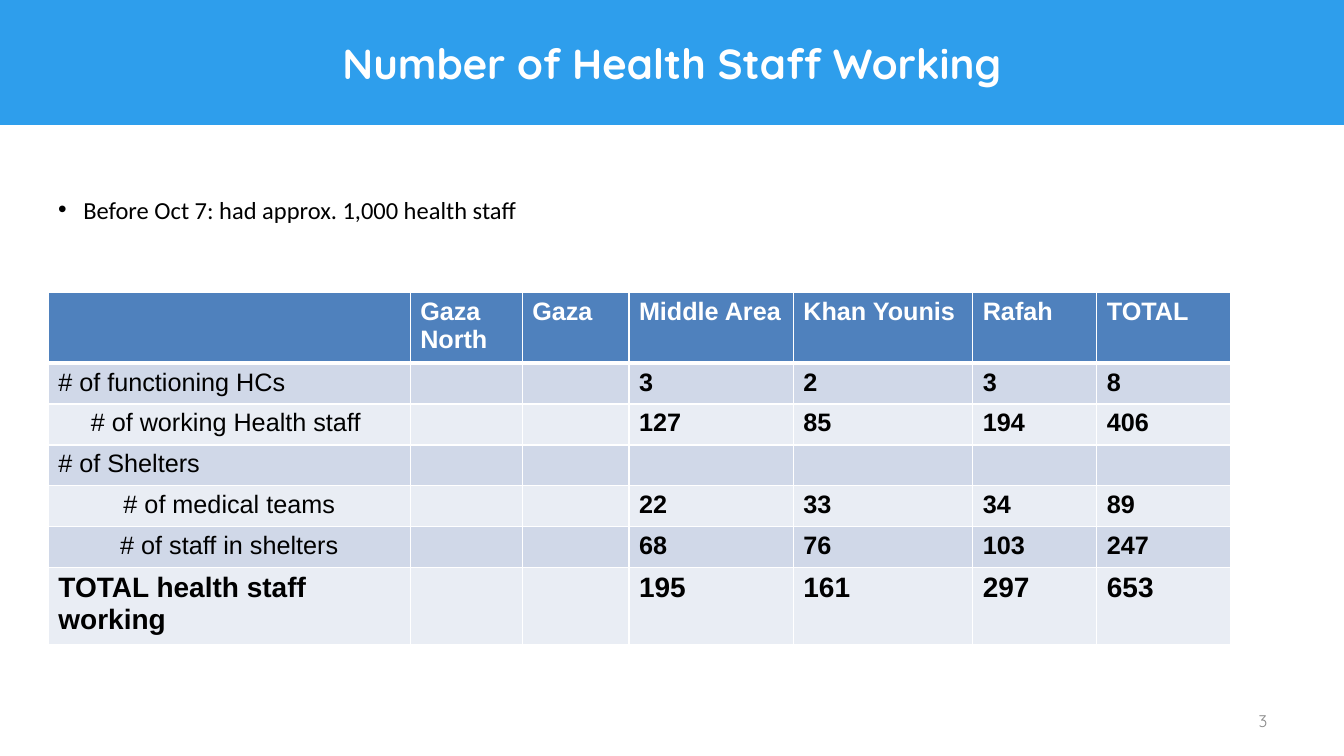
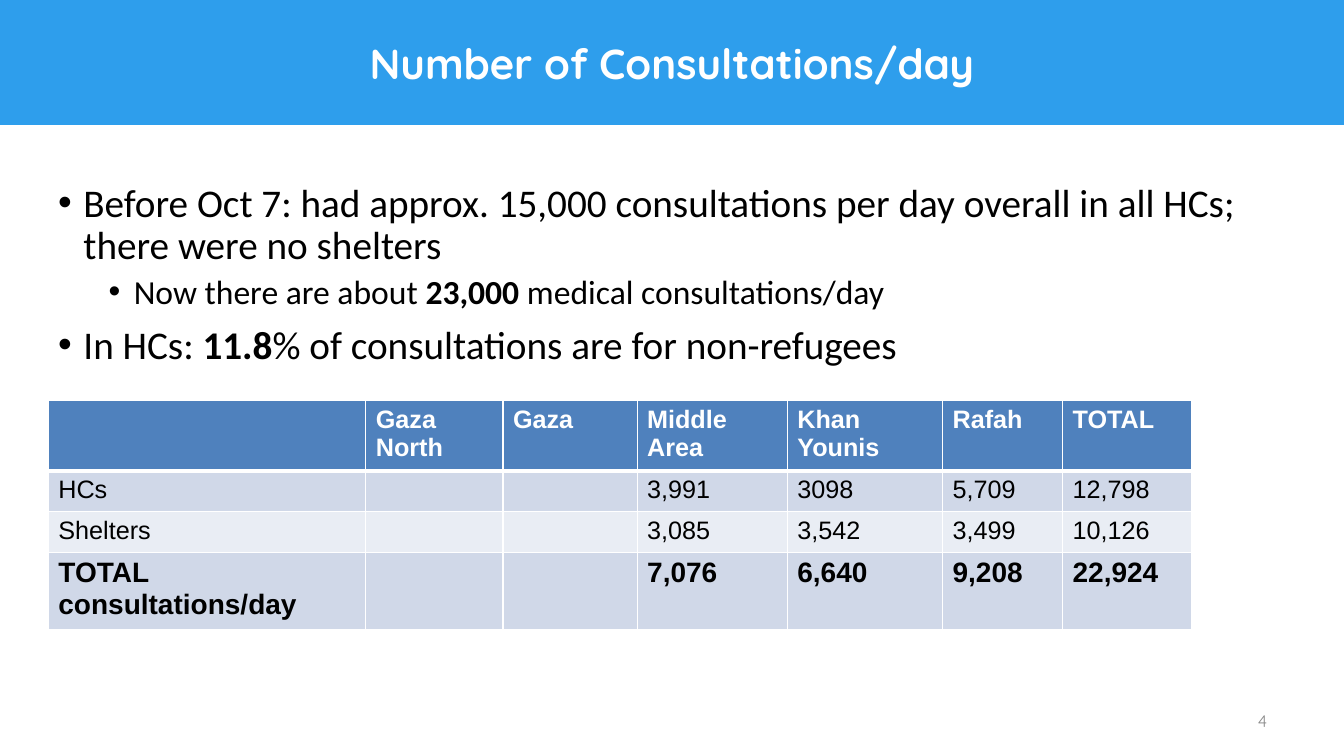
from pptx import Presentation
from pptx.dml.color import RGBColor
from pptx.enum import shapes, text
from pptx.oxml import parse_xml
from pptx.oxml.ns import nsdecls
from pptx.util import Pt

BLUE, HEADER, BAND_DARK, BAND_LIGHT = "2E9EEC", "4F81BD", "D0D8E8", "E9EDF4"
WHITE, BLACK, GREY = "FFFFFF", "000000", "898989"
WIDTH, HEIGHT, MARGIN = 960, 540, 34.5
REGIONS = ["Gaza North", "Gaza", "Middle Area", "Khan Younis", "Rafah", "TOTAL"]


def color(hex_code):
    return RGBColor.from_string(hex_code)


def style(font, size, name, hex_code, bold=False):
    font.size, font.name, font.bold = Pt(size), name, bold
    font.color.rgb = color(hex_code)


def add_title(slide, title, box):
    band = slide.shapes.add_shape(shapes.MSO_SHAPE.RECTANGLE, *map(Pt, box))
    band.shadow.inherit = False
    band.fill.solid()
    band.fill.fore_color.rgb = color(BLUE)
    band.line.fill.background()
    band.text_frame.vertical_anchor = text.MSO_ANCHOR.MIDDLE
    line = band.text_frame.paragraphs[0]
    line.text, line.alignment = title, text.PP_ALIGN.CENTER
    style(line.font, 30, "Quicksand", WHITE, True)


def add_text_frame(slide, box):
    frame = slide.shapes.add_textbox(*map(Pt, box)).text_frame
    frame.word_wrap = True
    return frame


def add_page_number(slide, number, box):
    frame = add_text_frame(slide, box)
    frame.vertical_anchor = text.MSO_ANCHOR.MIDDLE
    line = frame.paragraphs[0]
    line.text, line.alignment = str(number), text.PP_ALIGN.RIGHT
    style(line.font, 12, "Quicksand", GREY)


def add_bullets(slide, bullets, box, spacing=0.9):
    """Bullets are (level, size, parts); every second part is bold."""
    frame = add_text_frame(slide, box)
    for index, (level, size, parts) in enumerate(bullets):
        line = frame.add_paragraph() if index else frame.paragraphs[0]
        line.level, line.line_spacing = level, spacing
        line.space_before = Pt(5 if level else 10)
        style(line.font, size, "Calibri", BLACK)
        for part_index, part in enumerate(parts):
            run = line.add_run()
            run.text = part
            if part_index % 2:
                run.font.bold = True
        props = line._p.get_or_add_pPr()
        props.set("marL", str(Pt(18 + 36 * level)))
        props.set("indent", str(Pt(-18)))
        for xml in ('<a:buFont {} typeface="Arial"/>', '<a:buChar {} char="•"/>'):
            props.insert_element_before(parse_xml(xml.format(nsdecls("a"))),
                                        "a:tabLst", "a:defRPr", "a:extLst")


def set_borders(cell, top, bottom):
    props = cell._tc.get_or_add_tcPr()
    for side, width in zip("LRTB", (1, 1, top, bottom)):
        props.append(parse_xml(
            f'<a:ln{side} {nsdecls("a")} w="{Pt(width)}"><a:solidFill>'
            f'<a:srgbClr val="{WHITE}"/></a:solidFill></a:ln{side}>'))


def add_region_table(slide, rows, left, top, widths, centered=(), bold_values=False):
    """The last row is the total; centered holds the rows with a centred label."""
    row_height = 29.2
    grid = [["", *REGIONS]] + [[label, "", "", *values] for label, *values in rows]
    table = slide.shapes.add_table(
        len(grid), len(widths), Pt(left), Pt(top),
        Pt(sum(widths)), Pt(row_height * len(grid))).table
    for column, width in zip(table.columns, widths):
        column.width = Pt(width)
    for r, row in enumerate(grid):
        table.rows[r].height = Pt(row_height)
        is_header, is_total = r == 0, r == len(grid) - 1
        fill = HEADER if is_header else BAND_DARK if r % 2 else BAND_LIGHT
        for c, value in enumerate(row):
            cell = table.cell(r, c)
            set_borders(cell, 3 if r == 1 else 1, 3 if is_header else 1)
            cell.fill.solid()
            cell.fill.fore_color.rgb = color(fill)
            line = cell.text_frame.paragraphs[0]
            line.text = value
            if c == 0 and r in centered:
                line.alignment = text.PP_ALIGN.CENTER
            style(line.font, 20 if is_total else 18, "Arial",
                  WHITE if is_header else BLACK,
                  is_header or is_total or (bold_values and c > 0))


def add_base_slide(deck, title, number):
    slide = deck.slides.add_slide(deck.slide_layouts[6])
    add_title(slide, title, (0, 0, WIDTH, 89.3))
    add_page_number(slide, number, (688.3, 500.4, 224, 28.8))
    return slide


def build_staff_slide(deck):
    slide = add_base_slide(deck, "Number of Health Staff Working", 3)
    add_region_table(slide, [
        ("# of functioning HCs", "3", "2", "3", "8"),
        ("# of working Health staff ", "127", "85", "194", "406"),
        ("# of Shelters", "", "", "", ""),
        ("# of medical teams", "22", "33", "34", "89"),
        ("# of staff in shelters", "68", "76", "103", "247"),
        ("TOTAL health staff working", "195", "161", "297", "653"),
    ], MARGIN, 209, (258.5, 80, 76.3, 117.4, 128.2, 88.6, 95.8),
        centered=(2, 4, 5), bold_values=True)
    add_bullets(slide, [(0, 17.5, ["Before Oct 7: had approx. 1,000 health staff"])],
                (MARGIN, 141.8, 602.6, 44), spacing=0.7)


def build_consultations_slide(deck):
    slide = add_base_slide(deck, "Number of Consultations/day", 4)
    add_region_table(slide, [
        ("HCs", "3,991", "3098", "5,709", "12,798"),
        ("Shelters", "3,085", "3,542", "3,499", "10,126"),
        ("TOTAL consultations/day", "7,076", "6,640", "9,208", "22,924"),
    ], MARGIN, 285.8, (226.8, 98, 95.8, 107.3, 110.9, 85.7, 92.2))
    add_bullets(slide, [
        (0, 28, ["Before Oct 7: had approx. 15,000 consultations per day overall "
                 "in all HCs; there were no shelters"]),
        (1, 24, ["Now there are about ", "23,000", " medical consultations/day"]),
        (0, 28, ["In HCs: ", "11.8", "% of consultations are for non-refugees"]),
    ], (MARGIN, 127.4, 891.4, 142.6))


def main():
    deck = Presentation()
    deck.slide_width, deck.slide_height = Pt(WIDTH), Pt(HEIGHT)
    build_staff_slide(deck)
    build_consultations_slide(deck)
    deck.save("out.pptx")


if __name__ == "__main__":
    main()
